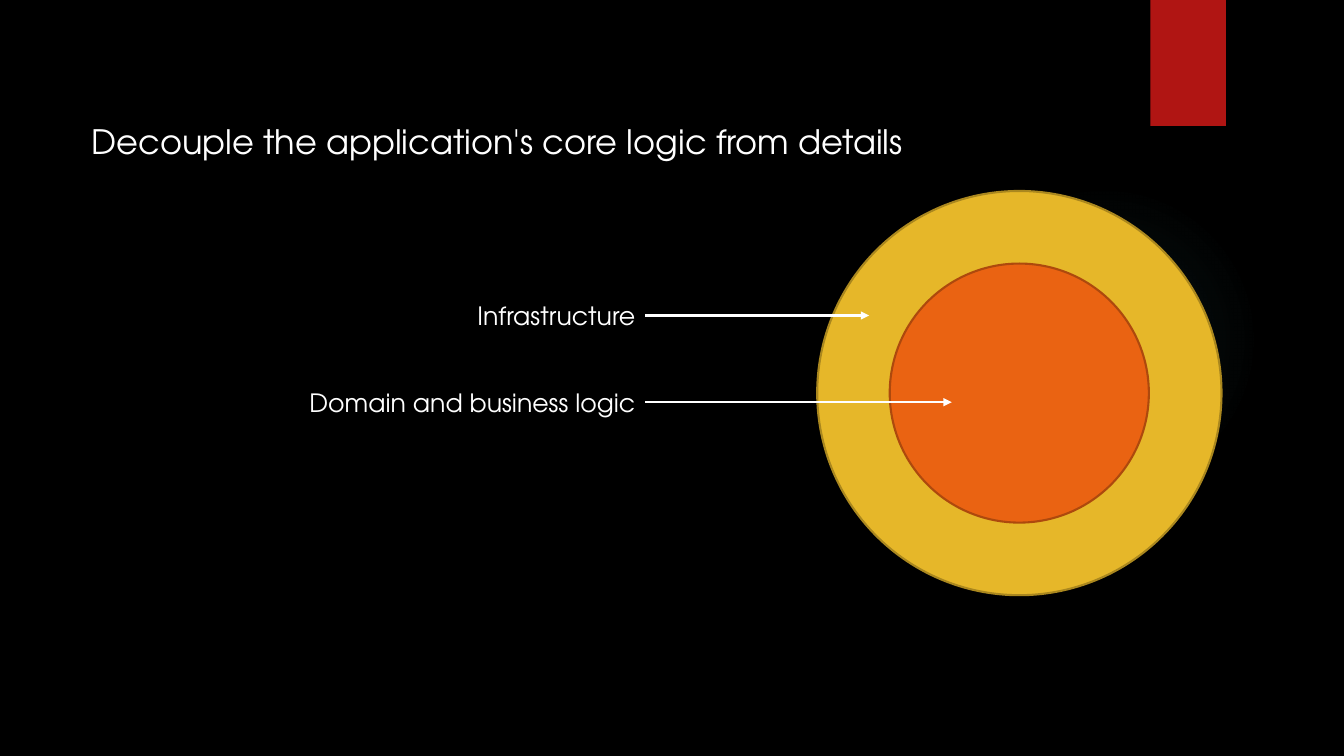
"""Build a slide that separates core logic from infrastructure."""
from lxml import etree
from pptx import Presentation
from pptx.dml.color import RGBColor as RGB
from pptx.enum.shapes import MSO_CONNECTOR as CONN, MSO_SHAPE as SHAPE
from pptx.enum.text import MSO_AUTO_SIZE as AUTO, PP_ALIGN as ALIGN
from pptx.oxml import parse_xml
from pptx.oxml.ns import nsdecls, qn
from pptx.util import Inches, Pt

COLORS = {
    "background": "000000",
    "text": "FFFFFF",
    "accent": "B01513",
    "glow": "50B9C1",
    "outer": "E6B729",
    "outer_line": "AA871E",
    "inner": "EA6312",
    "inner_line": "AD490D",
}


class SlideBuilder:
    font = "TeX Gyre Adventor"
    line_width = Pt(1.5)

    def __init__(self, slide):
        self.slide = slide

    def color(self, name):
        return RGB.from_string(COLORS[name])

    def background(self, name):
        fill = self.slide.background.fill
        fill.solid()
        fill.fore_color.rgb = self.color(name)

    def shape(self, kind, x, y, w, h, fill, line=None):
        sp = self.slide.shapes.add_shape(kind, Inches(x), Inches(y), Inches(w), Inches(h))
        sp.shadow.inherit = False
        sp.fill.solid()
        sp.fill.fore_color.rgb = self.color(fill)
        if line:
            sp.line.color.rgb = self.color(line)
            sp.line.width = self.line_width
        else:
            sp.line.fill.background()
        return sp

    def circle(self, cx, cy, size, fill, line=None):
        return self.shape(SHAPE.OVAL, cx - size / 2, cy - size / 2, size, size, fill, line)

    def glow(self, cx, cy, size, fill, stops):
        sp = self.circle(cx, cy, size, fill)
        gs = "".join(
            f'<a:gs pos="{pos * 1000}"><a:srgbClr val="{COLORS[fill]}">'
            f'<a:alpha val="{alpha * 1000}"/></a:srgbClr></a:gs>'
            for pos, alpha in stops
        )
        grad = parse_xml(
            f'<a:gradFill {nsdecls("a")}><a:gsLst>{gs}</a:gsLst><a:path path="circle">'
            '<a:fillToRect l="50000" t="50000" r="50000" b="50000"/></a:path></a:gradFill>'
        )
        pr = sp.element.spPr
        pr.replace(pr.find(qn("a:solidFill")), grad)

    def text(self, text, x, y, w, h, size, wrap=True, align=ALIGN.LEFT):
        sp = self.slide.shapes.add_textbox(Inches(x), Inches(y), Inches(w), Inches(h))
        tf = sp.text_frame
        tf.word_wrap = wrap
        tf.auto_size = AUTO.SHAPE_TO_FIT_TEXT
        p = tf.paragraphs[0]
        p.alignment = align
        r = p.add_run()
        r.text = text
        r.font.size = Pt(size)
        r.font.name = self.font
        r.font.color.rgb = self.color("text")
        return sp

    def arrow(self, label, x, y):
        c = self.slide.shapes.add_connector(CONN.STRAIGHT, 0, 0, Inches(x), Inches(y))
        c.begin_connect(label, 3)
        c.line.color.rgb = self.color("text")
        c.line.width = self.line_width
        etree.SubElement(c.line._get_or_add_ln(), qn("a:tailEnd"), type="triangle")
        etree.SubElement(c.element.spPr, qn("a:effectLst"))

    def callout(self, text, right, y, w, tip):
        h = 0.4
        label = self.text(text, right - w, y, w, h, 18, wrap=False, align=ALIGN.RIGHT)
        self.arrow(label, tip, y + h / 2)


def main():
    prs = Presentation()
    prs.slide_width, prs.slide_height = Inches(13.33), Inches(7.5)
    s = SlideBuilder(prs.slides.add_slide(prs.slide_layouts[6]))
    s.background("background")
    s.glow(10.95, 3.37, 3.08, "glow", [(0, 7), (36, 6), (69, 0)])
    s.shape(SHAPE.RECTANGLE, 11.41, 0, 0.75, 1.25, "accent")
    s.text("Decouple the application's core logic from details", 0.81, 1.15, 9.68, 0.5, 24)

    for name, size in (("outer", 4.01), ("inner", 2.57)):
        s.circle(10.11, 3.9, size, name, f"{name}_line")

    for text, y, w, tip in (
        ("Domain and business logic", 3.79, 3.47, 9.44),
        ("Infrastructure", 2.93, 1.8, 8.62),
    ):
        s.callout(text, 6.4, y, w, tip)
    prs.save("out.pptx")


if __name__ == "__main__":
    main()
